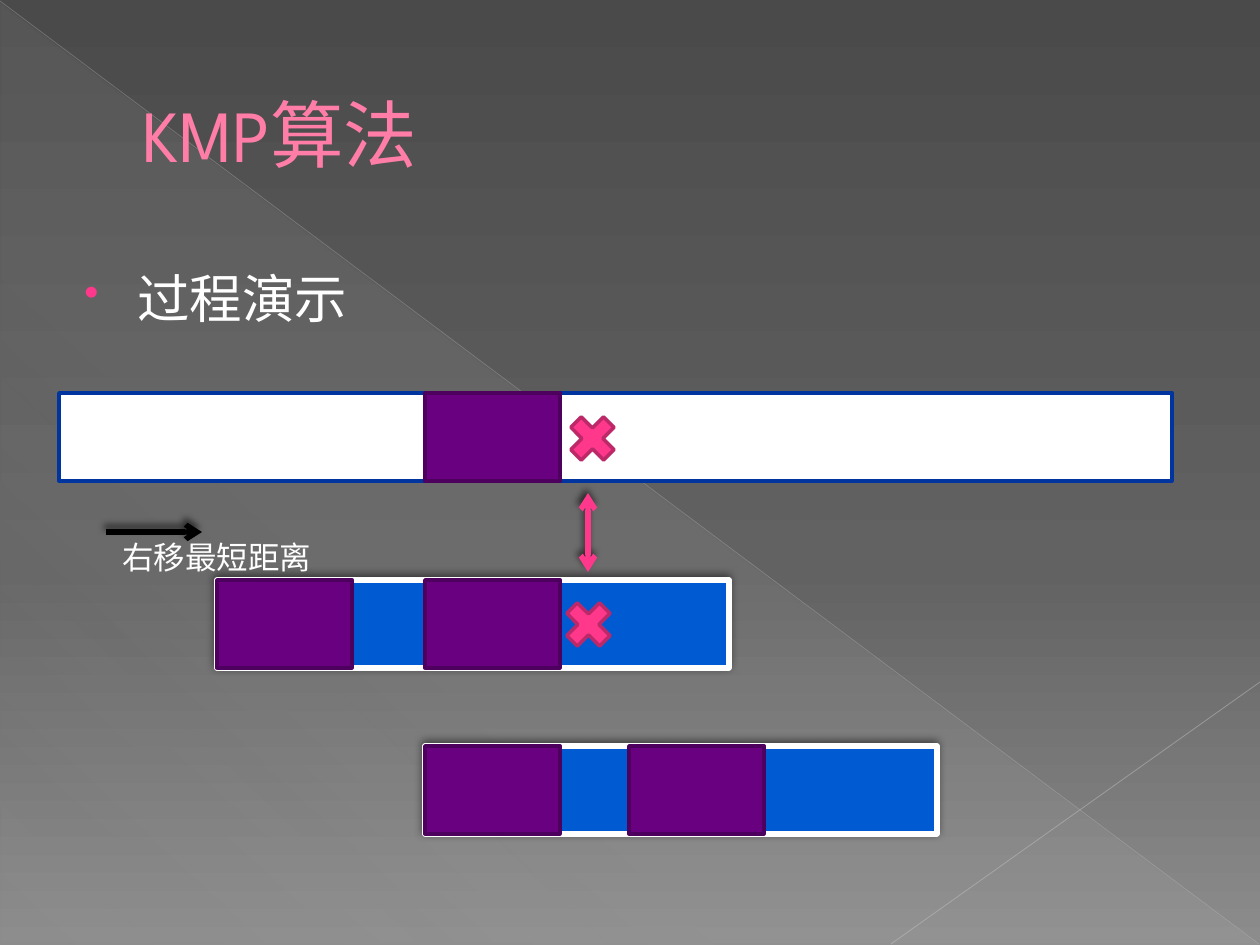
from dataclasses import dataclass
from typing import Optional

from lxml import etree
from pptx import Presentation
from pptx.dml.color import RGBColor
from pptx.enum.shapes import MSO_CONNECTOR, MSO_SHAPE
from pptx.enum.text import MSO_ANCHOR, PP_ALIGN
from pptx.oxml.ns import qn
from pptx.util import Emu, Pt

RECT, CROSS, TRIANGLE = MSO_SHAPE.RECTANGLE, MSO_SHAPE.MATH_MULTIPLY, MSO_SHAPE.RIGHT_TRIANGLE
STRAIGHT = MSO_CONNECTOR.STRAIGHT
MIDDLE, TOP, LEFT = MSO_ANCHOR.MIDDLE, MSO_ANCHOR.TOP, PP_ALIGN.LEFT

WHITE = RGBColor(0xFF, 0xFF, 0xFF)
BLACK = RGBColor(0, 0, 0)
PINK = RGBColor(0xFF, 0x38, 0x8C)
DARK_PINK = RGBColor(0xBD, 0x29, 0x68)
TITLE_PINK = RGBColor(0xFF, 0x7D, 0xA7)
TITLE_EDGE = RGBColor(0xB1, 0x27, 0x61)
BLUE = RGBColor(0x00, 0x5B, 0xD3)
NAVY = RGBColor(0x00, 0x34, 0x9E)
PURPLE = RGBColor(0x68, 0x00, 0x7F)
DARK_PURPLE = RGBColor(0x4D, 0x00, 0x5E)
DIAGONAL_GREY = RGBColor(0xBF, 0xBF, 0xBF)
CORNER_GREY = RGBColor(0xC6, 0xC6, 0xC6)
PALE_GREY = RGBColor(0xD2, 0xD2, 0xD2)
BG_STOPS = [(0, RGBColor(0x4A, 0x4A, 0x4A), 100), (60, RGBColor(0x62, 0x62, 0x62), 100),
            (100, RGBColor(0x8C, 0x8C, 0x8C), 100)]
SHEEN_STOPS = [(0, PALE_GREY, 10), (70, PALE_GREY, 8), (100, PALE_GREY, 1)]

FONT = "League Spartan"
SCALE = 914400 / 126
TEXT_Y, PATTERN_Y, SHIFTED_Y = 393, 580, 746
PATTERN_X, SHIFTED_X = 217, 425
BAR_H, PATTERN_W, MATCH_W = 88, 512, 135


@dataclass(frozen=True)
class Shadow:
    alpha: int
    blur: int
    dist: int


@dataclass(frozen=True)
class Block:
    x: int
    y: int
    w: int
    h: int
    fill: RGBColor
    line: RGBColor
    weight: float = 2
    kind: MSO_SHAPE = RECT
    shadow: Optional[Shadow] = None


@dataclass(frozen=True)
class Line:
    x1: int
    y1: int
    x2: int
    y2: int
    color: RGBColor
    weight: float
    alpha: int = 100
    ends: tuple = ()
    shadow: Optional[Shadow] = None


BAR_SHADOW, ARROW_SHADOW = Shadow(50, 5, 2), Shadow(60, 4, 3)


def pattern(x: int, y: int) -> Block:
    return Block(x, y, PATTERN_W, BAR_H, BLUE, WHITE, 3, shadow=BAR_SHADOW)


def match(x: int, y: int) -> Block:
    return Block(x, y, MATCH_W, BAR_H, PURPLE, DARK_PURPLE)


def mismatch(x: int, y: int) -> Block:
    return Block(x, y, 63, 63, PINK, DARK_PINK, kind=CROSS)


BLOCKS = [
    Block(59, TEXT_Y, 1113, BAR_H, WHITE, NAVY),
    pattern(PATTERN_X, PATTERN_Y),
    pattern(SHIFTED_X, SHIFTED_Y),
    mismatch(561, 407),
    mismatch(557, 593),
    match(SHIFTED_X, TEXT_Y),
    match(PATTERN_X, PATTERN_Y),
    match(SHIFTED_X, PATTERN_Y),
    match(SHIFTED_X, SHIFTED_Y),
    match(629, SHIFTED_Y),
]
BACK_LINES = [
    Line(0, 1, 1259, 944, DIAGONAL_GREY, 0.39, 35),
    Line(1260, 682, 891, 944, CORNER_GREY, 0.47, 45),
]
ARROWS = [
    Line(588, 572, 588, 493, PINK, 3, ends=("headEnd", "tailEnd"), shadow=ARROW_SHADOW),
    Line(106, 532, 202, 532, BLACK, 3, ends=("tailEnd",), shadow=ARROW_SHADOW),
]


def px(n: int) -> Emu:
    return Emu(round(n * SCALE))


def sub(parent, tag: str, **attrs):
    return etree.SubElement(parent, qn(tag), {k: str(v) for k, v in attrs.items()})


def add_color(parent, color: RGBColor, alpha: int = 100) -> None:
    clr = sub(parent, "a:srgbClr", val=color)
    if alpha < 100:
        sub(clr, "a:alpha", val=alpha * 1000)


def set_gradient(owner, stops: list, angle: int) -> None:
    solid = owner.find(qn("a:solidFill"))
    grad = etree.Element(qn("a:gradFill"), rotWithShape="1")
    stop_list = sub(grad, "a:gsLst")
    for pos, color, alpha in stops:
        add_color(sub(stop_list, "a:gs", pos=pos * 1000), color, alpha)
    sub(grad, "a:lin", ang=angle * 60000, scaled=0)
    owner.replace(solid, grad)


def add_shadow(effects, shadow: Optional[Shadow]) -> None:
    if shadow:
        outer = sub(effects, "a:outerShdw", blurRad=Pt(shadow.blur), dist=Pt(shadow.dist),
                    dir=245 * 60000, algn="tl", rotWithShape=0)
        add_color(outer, BLACK, shadow.alpha)


def draw_block(s, b: Block) -> None:
    sp = s.shapes.add_shape(b.kind, px(b.x), px(b.y), px(b.w), px(b.h))
    sp.fill.solid()
    sp.fill.fore_color.rgb = b.fill
    sp.line.color.rgb = b.line
    sp.line.width = Pt(b.weight)
    sp.shadow.inherit = False
    add_shadow(sp._element.spPr.find(qn("a:effectLst")), b.shadow)


def draw_line(s, ln: Line) -> None:
    c = s.shapes.add_connector(STRAIGHT, px(ln.x1), px(ln.y1), px(ln.x2), px(ln.y2))
    c.line.color.rgb = ln.color
    c.line.width = Pt(ln.weight)
    spPr = c._element.spPr
    line = spPr.find(qn("a:ln"))
    if ln.alpha < 100:
        sub(line.find(".//" + qn("a:srgbClr")), "a:alpha", val=ln.alpha * 1000)
    for end in ln.ends:
        sub(line, "a:" + end, type="arrow")
    add_shadow(sub(spPr, "a:effectLst"), ln.shadow)


def draw_sheen(s) -> None:
    sp = s.shapes.add_shape(TRIANGLE, px(1), px(3), px(1258), px(942))
    sp.fill.solid()
    set_gradient(sp._element.spPr, SHEEN_STOPS, 133)
    sp.line.fill.background()
    sp.shadow.inherit = False


def write(sp, text: str, size: int, color: RGBColor, anchor=TOP, wrap: bool = True):
    tf = sp.text_frame
    tf.word_wrap = wrap
    tf.vertical_anchor = anchor
    p = tf.paragraphs[0]
    p.alignment = LEFT
    r = p.add_run()
    r.text = text
    r.font.size = Pt(size)
    r.font.color.rgb = color
    r.font.name = FONT
    sub(r._r.get_or_add_rPr(), "a:ea", typeface=FONT)
    return p


def draw_title(s) -> None:
    title = s.shapes.title
    title.left, title.top, title.width, title.height = px(63), px(37), px(1134), px(193)
    tree = title._element.getparent()
    tree.append(title._element)
    p = write(title, "KMP算法", 42, TITLE_PINK, MIDDLE)
    p._p.get_or_add_pPr().set("marL", str(px(67)))
    rPr = p.runs[0]._r.get_or_add_rPr()
    outline = sub(rPr, "a:ln", w=Pt(0.5))
    add_color(sub(outline, "a:solidFill"), TITLE_EDGE)
    rPr.insert(0, outline)


def draw_body(s) -> None:
    box = s.shapes.add_textbox(px(63), px(260), px(1134), px(630))
    pPr = write(box, "过程演示", 30, WHITE)._p.get_or_add_pPr()
    pPr.set("marL", str(px(62)))
    pPr.set("indent", str(px(-53)))
    add_color(sub(pPr, "a:buClr"), PINK)
    sub(pPr, "a:buSzPct", val=80000)
    sub(pPr, "a:buChar", char="•")


def main() -> None:
    prs = Presentation()
    prs.slide_width, prs.slide_height = px(1260), px(945)
    s = prs.slides.add_slide(prs.slide_layouts[5])
    s.background.fill.solid()
    set_gradient(s.element.find(".//" + qn("p:bgPr")), BG_STOPS, 90)
    draw_sheen(s)
    for ln in BACK_LINES:
        draw_line(s, ln)
    draw_title(s)
    draw_body(s)
    for b in BLOCKS:
        draw_block(s, b)
    for ln in ARROWS:
        draw_line(s, ln)
    label = s.shapes.add_textbox(px(110), px(532), px(217), px(50))
    write(label, "右移最短距离", 18, WHITE, wrap=False)
    prs.save("out.pptx")


if __name__ == "__main__":
    main()
